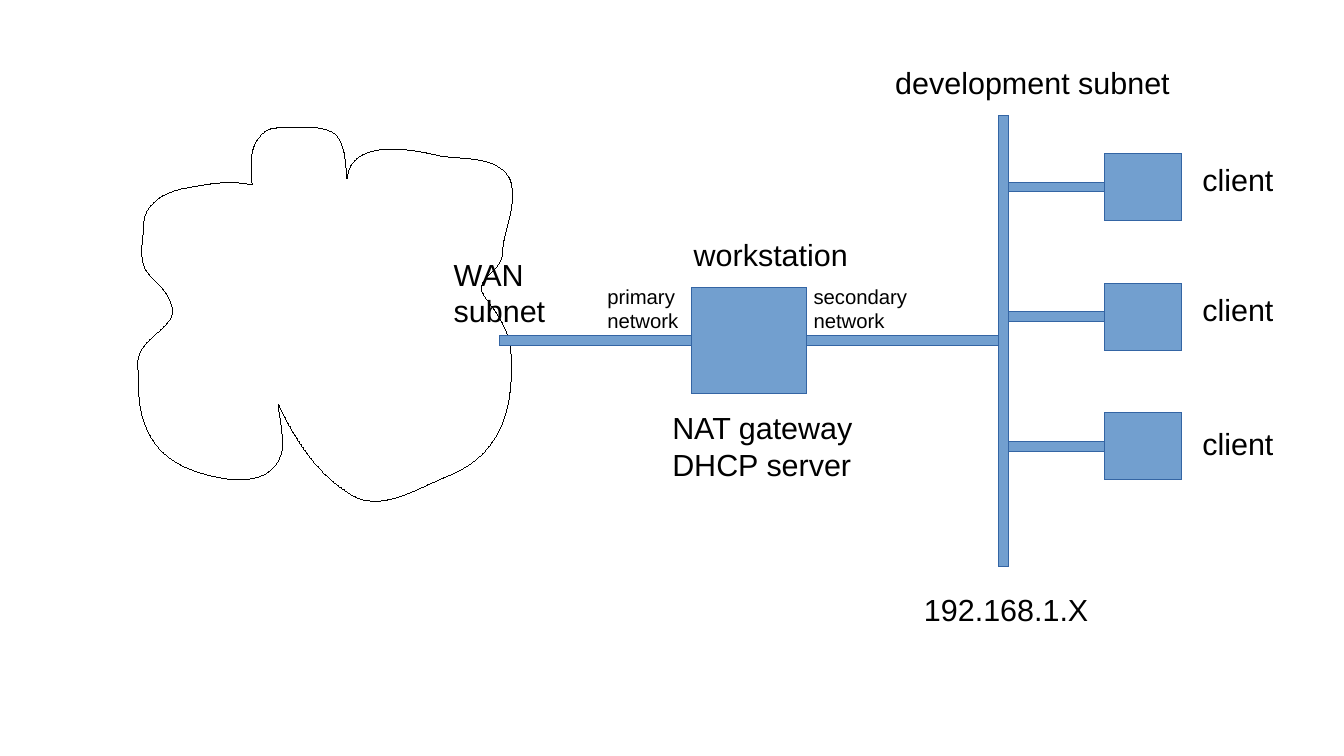
from dataclasses import dataclass

from lxml.etree import SubElement
from pptx import Presentation
from pptx.dml.color import RGBColor
from pptx.enum.shapes import MSO_SHAPE as Shape
from pptx.enum.text import MSO_AUTO_SIZE as AutoSize
from pptx.oxml.ns import qn
from pptx.util import Pt


@dataclass(frozen=True)
class Theme:
    fill: RGBColor = RGBColor(0x72, 0x9F, 0xCF)
    edge: RGBColor = RGBColor(0x34, 0x65, 0xA4)
    ink: RGBColor = RGBColor(0, 0, 0)
    font: str = "Arial"
    label: int = 18
    small: int = 12
    hairline: int = 0


theme = Theme()
prs = Presentation()
prs.slide_width, prs.slide_height = Pt(793.44), Pt(446.4)
slide = prs.slides.add_slide(prs.slide_layouts[6])


def add_block(left, top, width, height):
    block = slide.shapes.add_shape(
        Shape.RECTANGLE, Pt(left), Pt(top), Pt(width), Pt(height))
    block.shadow.inherit = False
    block.fill.solid()
    block.fill.fore_color.rgb = theme.fill
    block.line.color.rgb = theme.edge


def add_label(left, top, width, height, lines, size=theme.label, wrap=True):
    frame = slide.shapes.add_textbox(
        Pt(left), Pt(top), Pt(width), Pt(height)).text_frame
    frame.word_wrap = wrap
    frame.auto_size = AutoSize.SHAPE_TO_FIT_TEXT
    for i, line in enumerate(lines):
        paragraph = frame.add_paragraph() if i else frame.paragraphs[0]
        run = paragraph.add_run()
        run.text = line
        run.font.name, run.font.size = theme.font, Pt(size)
        run.font.color.rgb = theme.ink


# WAN cloud: each curve has two control points and an end, in units of 0.72 pt
CLOUD_UNIT = Pt(0.72)
CLOUD_LEFT, CLOUD_TOP, CLOUD_SIZE = 113, 104, 307
cloud_start = (203, 151)
cloud_curves = [
    ((187, 148), (170, 151), (154, 154)),
    ((139, 156), (119, 165), (118, 182)),
    ((118, 195), (113, 210), (120, 222)),
    ((126, 231), (136, 235), (141, 251)),
    ((147, 268), (112, 277), (113, 298)),
    ((114, 316), (112, 334), (121, 353)),
    ((132, 377), (154, 386), (176, 391)),
    ((194, 395), (221, 397), (230, 374)),
    ((236, 362), (224, 321), (230, 335)),
    ((243, 362), (261, 389), (287, 405)),
    ((311, 421), (339, 402), (366, 391)),
    ((416, 371), (421, 328), (419, 289)),
    ((418, 271), (408, 257), (398, 244)),
    ((386, 228), (412, 224), (412, 207)),
    ((413, 190), (422, 173), (420, 155)),
    ((418, 125), (374, 132), (357, 127)),
    ((348, 125), (290, 111), (285, 144)),
    ((283, 157), (287, 114), (272, 108)),
    ((258, 102), (242, 105), (227, 105)),
    ((212, 105), (205, 123), (206, 135)),
]
cloud_tail = [(206, 148), (207, 151), cloud_start]

# The builder sets the cloud's frame, then its path gets the true curves
builder = slide.shapes.build_freeform(CLOUD_LEFT, CLOUD_TOP, scale=CLOUD_UNIT)
builder.add_line_segments(
    [(CLOUD_LEFT + CLOUD_SIZE, CLOUD_TOP + CLOUD_SIZE)], close=False)
cloud = builder.convert_to_shape()
cloud.shadow.inherit = False
cloud.fill.background()
cloud.line.color.rgb = theme.ink

outline = next(cloud.element.iter(qn("a:path")))
for segment in list(outline):
    outline.remove(segment)
segments = [("a:moveTo", [cloud_start])]
segments += [("a:cubicBezTo", curve) for curve in cloud_curves]
segments += [("a:lnTo", [point]) for point in cloud_tail]
for tag, points in segments:
    segment = SubElement(outline, qn(tag))
    for x, y in points:
        SubElement(segment, qn("a:pt"),
                   x=str(x - CLOUD_LEFT), y=str(y - CLOUD_TOP))
SubElement(outline, qn("a:close"))

# Workstation and the development bus
CABLE = 5.7
add_block(408.2, 170, 67.8, 62.6)
add_block(589.6, 68, CABLE, 266.4)

# Clients, each with a cable to the bus
CLIENT_PITCH = 76.5
for row, label_top in enumerate((91.5, 168.4, 247.6)):
    client_top = 90.7 + row * CLIENT_PITCH
    add_block(652, client_top, 45.4, 39.6)
    add_block(595.3, client_top + 17, 56.7, CABLE)
    add_label(702.7, label_top, 73.4, 27.4, ["client"])

# Primary and secondary network cables
for cable_left in (294.8, 476):
    add_block(cable_left, 198.4, 113.4, CABLE)

# Labels
add_label(389.8, 238.2, 121, 67.7, ["NAT gateway", "DHCP server"], wrap=False)
add_label(402.5, 136.1, 124.6, 33.8, ["workstation"])
add_label(351.4, 164.3, 73.4, 33.8, ["primary", "network"], theme.small)
add_label(473.2, 164.3, 73.4, 33.8, ["secondary", "network"], theme.small)
add_label(521.4, 34, 209.5, 27.4, ["development subnet"])
add_label(260.8, 147.6, 79.2, 47.5, ["WAN", "subnet"])
add_label(538.4, 345.6, 124.6, 27.4, ["192.168.1.X"])

# Hairline edges: a zero width has to be written out
for edge in slide.shapes.element.iter(qn("a:ln")):
    edge.set("w", str(Pt(theme.hairline)))

prs.save("out.pptx")
